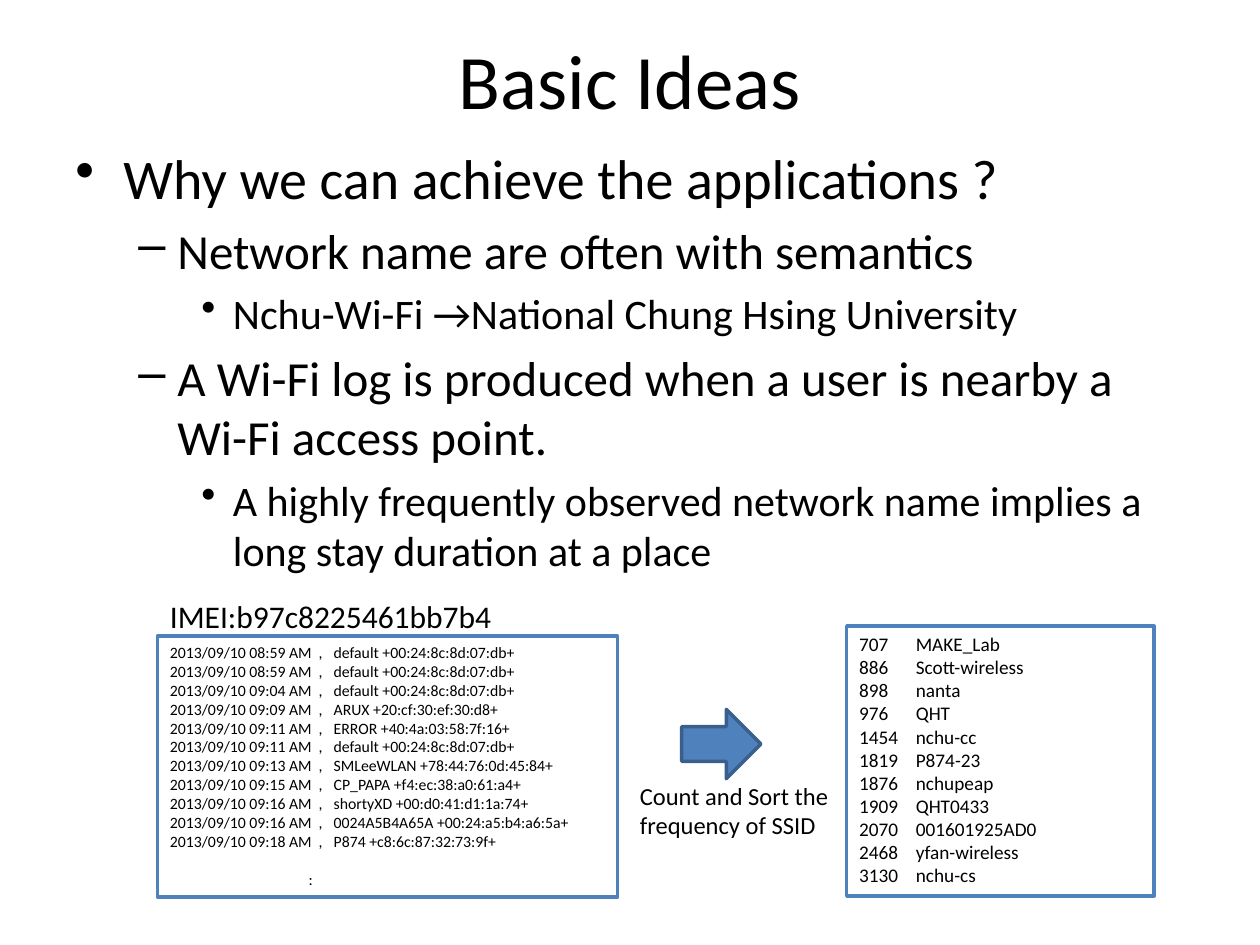
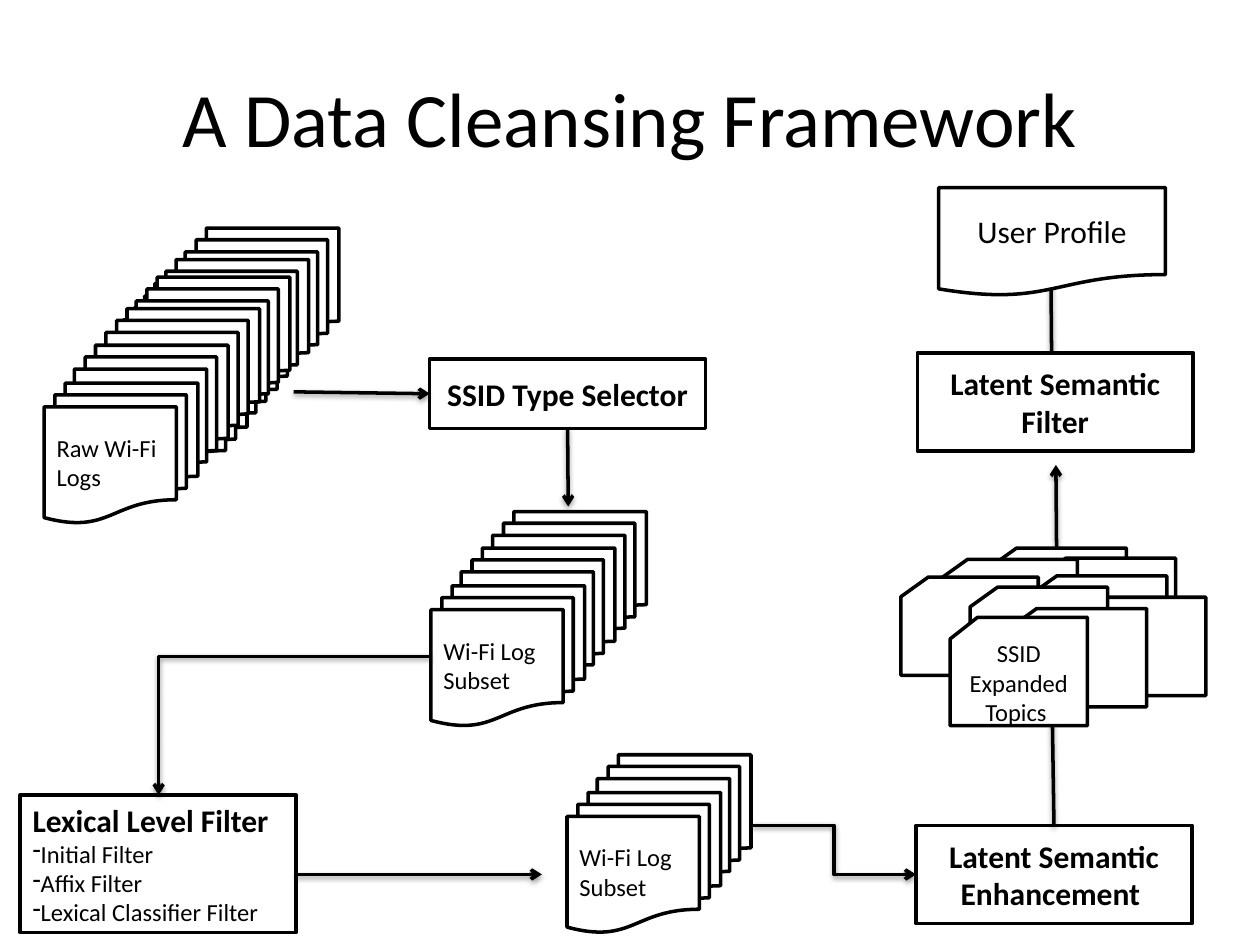
from dataclasses import dataclass

import lxml.etree
import pptx
import pptx.dml.color
import pptx.enum.shapes
import pptx.enum.text
import pptx.oxml.ns
import pptx.util

SHAPE = pptx.enum.shapes.MSO_SHAPE
CONNECTOR = pptx.enum.shapes.MSO_CONNECTOR
ALIGN = pptx.enum.text.PP_ALIGN
ANCHOR = pptx.enum.text.MSO_ANCHOR
qualified = pptx.oxml.ns.qn

# Grid: ten columns across; rows are as high as columns are wide
SLIDE_WIDTH = pptx.util.Inches(10)
SLIDE_HEIGHT = pptx.util.Inches(7.5)
CELL = SLIDE_WIDTH // 10


@dataclass(frozen=True)
class Theme:
    font: str = "Calibri"
    ink: str = "000000"
    paper: str = "FFFFFF"
    accent: str = "4F81BD"
    accent_dark: str = "3A5F8C"
    title: int = 44
    heading: int = 18
    label: int = 14
    counts: int = 11
    log: int = 9
    line_width: int = 2


THEME = Theme()

# Outline levels: type size, bullet, left margin, hanging indent
LEVELS = [(32, "•", 0.38, 0.38), (28, "–", 0.81, 0.31), (24, "•", 1.25, 0.25)]

OUTLINE = [
    (0, "Why we can achieve the applications ?"),
    (1, "Network name are often with semantics"),
    (2, "Nchu-Wi-Fi →National Chung Hsing University"),
    (1, "A Wi-Fi log is produced when a user is nearby a Wi-Fi access point."),
    (2, "A highly frequently observed network name implies a long stay "
        "duration at a place"),
]

LOG_DATE = "2013/09/10"
LOG_ENTRIES = [
    ("08:59", "default", "00:24:8c:8d:07:db"),
    ("08:59", "default", "00:24:8c:8d:07:db"),
    ("09:04", "default", "00:24:8c:8d:07:db"),
    ("09:09", "ARUX", "20:cf:30:ef:30:d8"),
    ("09:11", "ERROR", "40:4a:03:58:7f:16"),
    ("09:11", "default", "00:24:8c:8d:07:db"),
    ("09:13", "SMLeeWLAN", "78:44:76:0d:45:84"),
    ("09:15", "CP_PAPA", "f4:ec:38:a0:61:a4"),
    ("09:16", "shortyXD", "00:d0:41:d1:1a:74"),
    ("09:16", "0024A5B4A65A", "00:24:a5:b4:a6:5a"),
    ("09:18", "P874", "c8:6c:87:32:73:9f"),
]

SSID_COUNTS = [
    (707, "MAKE_Lab"), (886, "Scott-wireless"), (898, "nanta"), (976, "QHT"),
    (1454, "nchu-cc"), (1819, "P874-23"), (1876, "nchupeap"),
    (1909, "QHT0433"), (2070, "001601925AD0"), (2468, "yfan-wireless"),
    (3130, "nchu-cs"),
]

# Steps from the front sheet of a stack to the sheets behind it
STACK_STEPS = [(0, 0), (0.24, -0.3), (0.49, -0.59), (0.73, -0.84)]

# Topic cards from back to front
CARD_SIZE = (1.09, 0.78)
TOPIC_CARDS = [(7.85, 4.35), (8.24, 4.43), (7.46, 4.44), (7.15, 4.58),
               (8.17, 4.57), (8.48, 4.74), (7.7, 4.66), (8.01, 4.83)]


def cells(*lengths):
    return [round(length * CELL) for length in lengths]


def color(value):
    return pptx.dml.color.RGBColor.from_string(value)


def add_xml(parent, tag, **attributes):
    values = {name: str(value) for name, value in attributes.items()}
    return lxml.etree.SubElement(parent, qualified(tag), values)


# Text
def add_paragraph(frame, text, size, bold=False, align=ALIGN.LEFT, bullet=None,
                  margin=0, hanging=0, tabs=(), before=0):
    first = frame.paragraphs[0]
    paragraph = frame.add_paragraph() if first.runs else first
    paragraph.alignment = align
    paragraph.space_before = pptx.util.Pt(before)
    run = paragraph.add_run()
    run.text = text
    run.font.name = THEME.font
    run.font.size = pptx.util.Pt(size)
    run.font.bold = bold
    run.font.color.rgb = color(THEME.ink)
    properties = paragraph._p.get_or_add_pPr()
    if bullet:
        left, indent = cells(margin, -hanging)
        properties.set("marL", str(left))
        properties.set("indent", str(indent))
        add_xml(properties, "a:buChar", char=bullet)
    if tabs:
        stops = add_xml(properties, "a:tabLst")
        for position in cells(*tabs):
            add_xml(stops, "a:tab", pos=position, algn="l")


def add_text_box(slide, place, anchor=ANCHOR.TOP, wrap=True):
    frame = slide.shapes.add_textbox(*cells(*place)).text_frame
    frame.word_wrap = wrap
    frame.vertical_anchor = anchor
    return frame


def add_title(slide, text, top):
    frame = add_text_box(slide, (0.5, top, 9, 1.25), ANCHOR.MIDDLE)
    add_paragraph(frame, text, THEME.title, align=ALIGN.CENTER)


# Shapes
def add_outlined(parent, kind, place, fill=THEME.paper, line=THEME.ink,
                 anchor=ANCHOR.MIDDLE):
    shape = parent.shapes.add_shape(kind, *cells(*place))
    shape.shadow.inherit = False
    shape.fill.solid()
    shape.fill.fore_color.rgb = color(fill)
    shape.line.color.rgb = color(line)
    shape.line.width = pptx.util.Pt(THEME.line_width)
    shape.text_frame.word_wrap = True
    shape.text_frame.vertical_anchor = anchor
    return shape


def add_labelled(slide, kind, place, text, size=THEME.heading, bold=False):
    shape = add_outlined(slide, kind, place)
    add_paragraph(shape.text_frame, text, size, bold, ALIGN.CENTER)
    return shape


def add_stack(slide, left, top, sheets, label=None):
    group = slide.shapes.add_group_shape()
    for across, down in reversed(STACK_STEPS[:sheets]):
        sheet = add_outlined(group, SHAPE.FLOWCHART_MULTIDOCUMENT,
                             (left + across, top + down, 1.22, 1.11))
    if label:
        add_paragraph(sheet.text_frame, label, THEME.label)


def add_arrow(slide, start, end, kind=CONNECTOR.STRAIGHT, preset=None):
    connector = slide.shapes.add_connector(kind, *cells(*start, *end))
    connector.line.color.rgb = color(THEME.ink)
    connector.line.width = pptx.util.Pt(THEME.line_width)
    add_xml(connector.line._get_or_add_ln(), "a:tailEnd", type="arrow")
    properties = connector._element.spPr
    if preset:
        properties.find(qualified("a:prstGeom")).set("prst", preset)
    # Soft shadow straight below the line
    effects = add_xml(properties, "a:effectLst")
    shadow = add_xml(effects, "a:outerShdw", blurRad=pptx.util.Pt(3.1),
                     dist=pptx.util.Pt(1.6), dir=5400000, rotWithShape=0)
    shade = add_xml(shadow, "a:srgbClr", val=THEME.ink)
    add_xml(shade, "a:alpha", val=38000)
    return connector


# Slides
def build_ideas(slide):
    add_title(slide, "Basic Ideas", 0)
    outline = add_text_box(slide, (0.5, 1.09, 8.99, 3.6))
    for level, text in OUTLINE:
        size, bullet, margin, hanging = LEVELS[level]
        add_paragraph(outline, text, size, bullet=bullet, margin=margin,
                      hanging=hanging, before=size * 0.2)

    # Wi-Fi log of one device
    log = add_outlined(slide, SHAPE.RECTANGLE, (1.25, 5.05, 3.65, 2.07),
                       line=THEME.accent, anchor=ANCHOR.TOP).text_frame
    for time, name, address in LOG_ENTRIES:
        add_paragraph(log, f"{LOG_DATE} {time} AM\t,\t{name} +{address}+",
                      THEME.log, tabs=(1.18, 1.3))
    add_paragraph(log, "\t:", THEME.log, tabs=(1.1,), before=THEME.log * 1.22)
    device = add_text_box(slide, (1.25, 4.69, 2.78, 0.4), wrap=False)
    add_paragraph(device, "IMEI:b97c8225461bb7b4", THEME.heading)

    # Sorted network names
    add_outlined(slide, SHAPE.RIGHT_ARROW, (5.41, 5.63, 0.63, 0.55),
                 THEME.accent, THEME.accent_dark)
    counts = add_outlined(slide, SHAPE.RECTANGLE, (6.72, 4.97, 2.44, 2.14),
                          line=THEME.accent, anchor=ANCHOR.TOP).text_frame
    for count, name in SSID_COUNTS:
        add_paragraph(counts, f"{count}\t{name}", THEME.counts, tabs=(0.45,))
    step = add_text_box(slide, (4.98, 6.15, 1.89, 0.57))
    add_paragraph(step, "Count and Sort the frequency of SSID", THEME.label)


def build_framework(slide):
    add_title(slide, "A Data Cleansing Framework", 0.3)

    # Raw logs and type selection
    add_stack(slide, 0.74, 2.65, 4)
    add_stack(slide, 0.35, 3.04, 4, "Raw Wi-Fi Logs")
    selector = add_labelled(slide, SHAPE.RECTANGLE, (3.41, 2.85, 2.19, 0.55),
                            "SSID Type Selector", bold=True)
    add_arrow(slide, (2.33, 3.11), (3.41, 3.12)).end_connect(selector, 1)
    add_arrow(slide, (4.5, 3.4), (4.51, 4.02)).begin_connect(selector, 2)
    add_stack(slide, 3.42, 4.65, 3, "Wi-Fi Log Subset")

    # Lexical filtering
    lexical = add_outlined(slide, SHAPE.RECTANGLE, (0.16, 6.31, 2.19, 1.09))
    add_paragraph(lexical.text_frame, "Lexical Level Filter", THEME.heading,
                  bold=True)
    for name in ("Initial", "Affix", "Lexical Classifier"):
        add_paragraph(lexical.text_frame, f"{name} Filter", THEME.label,
                      bullet="-")
    add_arrow(slide, (3.42, 5.21), (1.26, 6.31), CONNECTOR.ELBOW,
              "bentConnector2")
    add_arrow(slide, (2.35, 6.94), (4.3, 6.94))
    add_stack(slide, 4.5, 6.29, 2, "Wi-Fi Log Subset")

    # Semantic enhancement and expanded topics
    enhancement = add_labelled(slide, SHAPE.RECTANGLE, (7.27, 6.55, 2.19, 0.78),
                               "Latent Semantic Enhancement ", bold=True)
    add_arrow(slide, (5.97, 6.55), (7.27, 6.94), CONNECTOR.ELBOW)
    add_arrow(slide, (8.37, 6.55), (8.35, 5.59)).begin_connect(enhancement, 0)
    add_arrow(slide, (8.39, 4.87), (8.38, 3.69))
    for left, top in TOPIC_CARDS:
        add_outlined(slide, SHAPE.FLOWCHART_CARD, (left, top, *CARD_SIZE))
    add_labelled(slide, SHAPE.FLOWCHART_CARD, (7.54, 4.9, 1.09, 0.86),
                 "SSID Expanded Topics ", THEME.label)

    # Semantic filter and resulting profile
    add_arrow(slide, (8.35, 3.26), (8.34, 2.08))
    add_labelled(slide, SHAPE.RECTANGLE, (7.28, 2.8, 2.19, 0.78),
                 "Latent Semantic Filter", bold=True)
    add_labelled(slide, SHAPE.FLOWCHART_DOCUMENT, (7.45, 1.49, 1.8, 0.86),
                 "User Profile")


def main():
    presentation = pptx.Presentation()
    presentation.slide_width = SLIDE_WIDTH
    presentation.slide_height = SLIDE_HEIGHT
    blank = presentation.slide_layouts[6]
    for build in (build_ideas, build_framework):
        build(presentation.slides.add_slide(blank))
    presentation.save("out.pptx")


if __name__ == "__main__":
    main()
